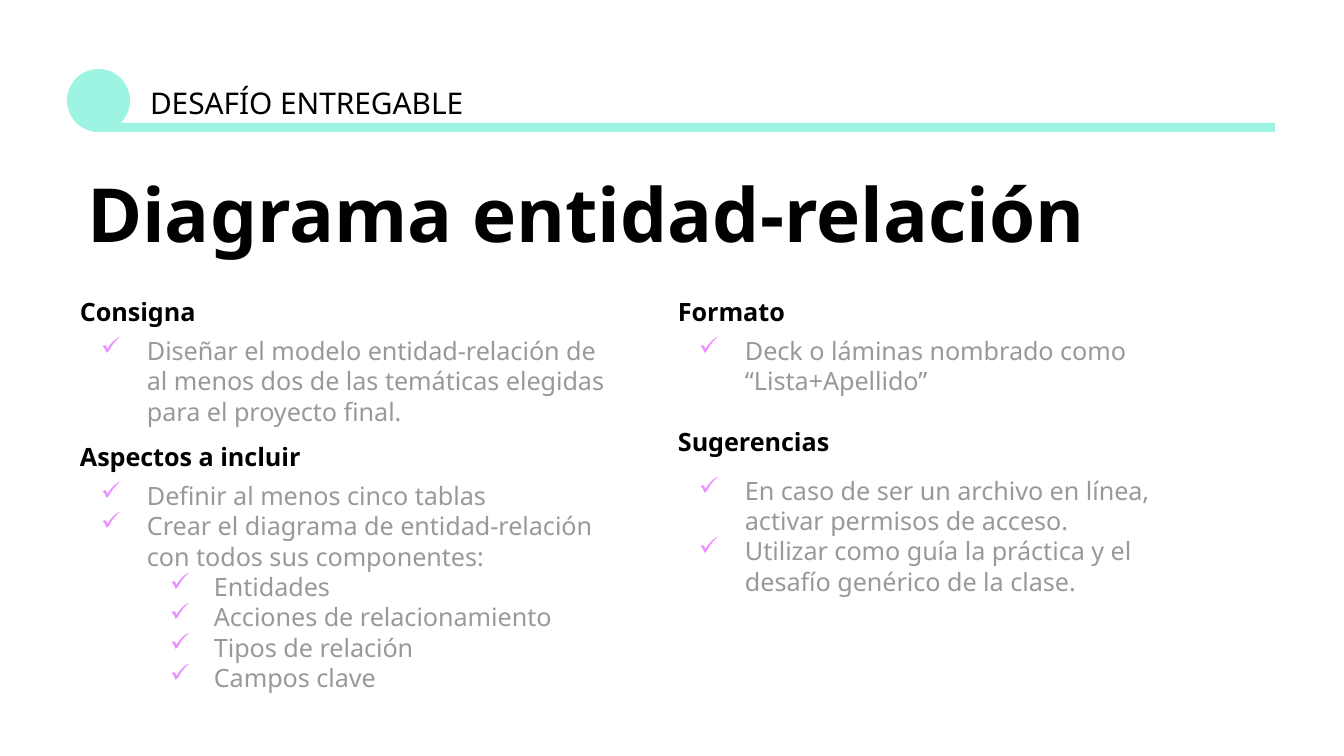
from lxml.etree import SubElement
from pptx import Presentation
from pptx.dml.color import RGBColor
from pptx.enum.shapes import MSO_SHAPE
from pptx.enum.text import MSO_ANCHOR, MSO_AUTO_SIZE, PP_ALIGN
from pptx.oxml.ns import qn
from pptx.util import Emu, Pt

MINT = RGBColor(0x9D, 0xF4, 0xE2)
PINK = RGBColor(0xEA, 0x90, 0xFF)
BLACK = RGBColor(0, 0, 0)
GRAY = RGBColor(0x99, 0x99, 0x99)
FONT = "Noto Sans"
LINE_HEIGHT = 1.2
INSET = 13
BULLET_INDENTS = [(67, -46), (134, -44)]

# Each section: heading, space before it, space before its first item, items (level, text)
LEFT_SECTIONS = [
    ("Consigna", 0, 4.9, [
        (0, "Diseñar el modelo entidad-relación de al menos dos de las "
            "temáticas elegidas para el proyecto final."),
    ]),
    ("Aspectos a incluir", 8, 4.9, [
        (0, "Definir al menos cinco tablas"),
        (0, "Crear el diagrama de entidad-relación con todos sus componentes:"),
        (1, "Entidades"),
        (1, "Acciones de relacionamiento"),
        (1, "Tipos de relación"),
        (1, "Campos clave"),
    ]),
]
RIGHT_SECTIONS = [
    ("Formato", 0, 4.9, [(0, "Deck o láminas nombrado como “Lista+Apellido”")]),
    ("Sugerencias", 16.2, 10, [
        (0, "En caso de ser un archivo en línea, activar permisos de acceso."),
        (0, "Utilizar como guía la práctica y el desafío genérico de la clase."),
    ]),
]


def px(length):
    return Emu(round(length * 914400 / 134.4))


def prepare_frame(frame, top_inset):
    frame.word_wrap = True
    frame.auto_size = MSO_AUTO_SIZE.NONE
    frame.vertical_anchor = MSO_ANCHOR.TOP
    frame.margin_left = frame.margin_right = frame.margin_bottom = px(INSET)
    frame.margin_top = px(top_inset)
    return frame


def write(paragraph, text, size, color, bold=False, before=0, spacing=LINE_HEIGHT):
    paragraph.alignment = PP_ALIGN.LEFT
    paragraph.line_spacing = Pt(size * spacing)
    paragraph.space_before = Pt(before)
    run = paragraph.add_run()
    run.text = text
    run.font.name = FONT
    run.font.size = Pt(size)
    run.font.bold = bold
    run.font.color.rgb = color


def add_check_bullet(paragraph, level):
    paragraph.level = level
    left, hanging = BULLET_INDENTS[level]
    properties = paragraph._p.get_or_add_pPr()
    properties.set("marL", str(px(left)))
    properties.set("indent", str(px(hanging)))
    color = SubElement(properties, qn("a:buClr"))
    SubElement(color, qn("a:srgbClr")).set("val", str(PINK))
    SubElement(properties, qn("a:buChar")).set("char", "✓")


def add_mint_shape(slide, kind, left, top, width, height):
    mint = slide.shapes.add_shape(kind, px(left), px(top), px(width), px(height))
    mint.shadow.inherit = False
    mint.fill.solid()
    mint.fill.fore_color.rgb = MINT
    mint.line.fill.background()


def add_header(slide, left, top, width, height):
    # Circle, underline and label
    add_mint_shape(slide, MSO_SHAPE.OVAL, left, top, height, height)
    add_mint_shape(slide, MSO_SHAPE.RECTANGLE, left + 27, top + height - 9, width - 27, 9)
    label = slide.shapes.add_textbox(px(left + 70), px(top), px(362), px(height))
    frame = prepare_frame(label.text_frame, 16)
    write(frame.paragraphs[0], "DESAFÍO ENTREGABLE", 16, BLACK)


def place_title(slide, left, top, width, height):
    title = slide.shapes.title
    title.left, title.top, title.width, title.height = map(px, (left, top, width, height))
    frame = prepare_frame(title.text_frame, 18)
    write(frame.paragraphs[0], "Diagrama entidad-relación", 40, BLACK,
          bold=True, spacing=LINE_HEIGHT * 0.9)


def add_column(slide, sections, left, top, width, height):
    column = slide.shapes.add_textbox(px(left), px(top), px(width), px(height))
    frame = prepare_frame(column.text_frame, 15)
    for number, (heading, heading_gap, items_gap, items) in enumerate(sections):
        paragraph = frame.add_paragraph() if number else frame.paragraphs[0]
        write(paragraph, heading, 13.5, BLACK, bold=True, before=heading_gap)
        for position, (level, text) in enumerate(items):
            paragraph = frame.add_paragraph()
            write(paragraph, text, 13.5, GRAY, before=0 if position else items_gap)
            add_check_bullet(paragraph, level)


presentation = Presentation()
presentation.slide_width, presentation.slide_height = px(1344), px(756)
slide = presentation.slides.add_slide(presentation.slide_layouts[5])

add_header(slide, 67, 69, 1208, 63)
place_title(slide, 74, 159, 1074, 109)
add_column(slide, LEFT_SECTIONS, 67, 281, 563, 427)
add_column(slide, RIGHT_SECTIONS, 665, 281, 563, 331)

presentation.save("out.pptx")
